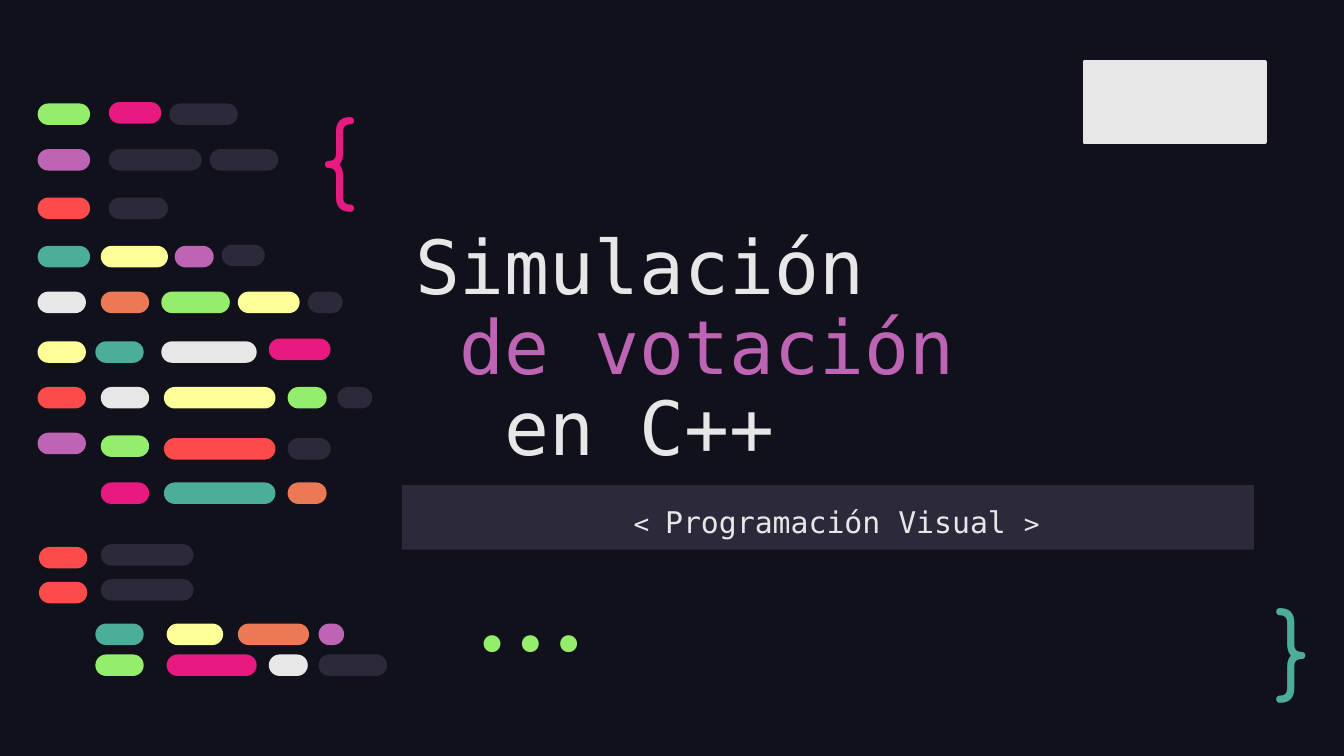
from dataclasses import dataclass
from typing import NamedTuple

from pptx import Presentation
from pptx.dml.color import RGBColor
from pptx.enum import shapes, text
from pptx.util import Inches, Pt


@dataclass(frozen=True)
class Theme:
    back: str = "10111A"
    slate: str = "2C293A"
    white: str = "E7E7E7"
    green: str = "94EE6B"
    pink: str = "E81A81"
    purple: str = "BD64B5"
    red: str = "FD4A4A"
    teal: str = "4CAE97"
    yellow: str = "FFFF99"
    orange: str = "EC7955"
    mono: str = "DejaVu Sans Mono"
    round: str = "Comfortaa"
    code: str = "Fira Code"
    title: int = 40
    symbol: int = 50
    subtitle: int = 16
    bracket: int = 14


class Box(NamedTuple):
    left: float
    top: float
    width: float
    height: float


class Pill(NamedTuple):
    left: float
    width: float
    color: str
    shift: float = 0  # offset below the top of its row


class Symbol(NamedTuple):
    text: str
    box: Box
    font: str
    color: str
    anchor: text.MSO_ANCHOR
    align: text.PP_ALIGN


T = Theme()
PILL_HEIGHT = 0.16
TITLE_STEP = 0.6 * T.title / 72  # one monospace character at title size

CODE_ROWS: dict[float, list[Pill]] = {
    0.77: [Pill(0.28, 0.39, T.green), Pill(0.81, 0.39, T.pink, -0.01),
           Pill(1.26, 0.51, T.slate)],
    1.11: [Pill(0.28, 0.39, T.purple), Pill(0.81, 0.69, T.slate),
           Pill(1.56, 0.51, T.slate)],
    1.47: [Pill(0.28, 0.39, T.red), Pill(0.81, 0.44, T.slate)],
    1.83: [Pill(0.28, 0.39, T.teal), Pill(0.75, 0.5, T.yellow),
           Pill(1.3, 0.29, T.purple), Pill(1.65, 0.32, T.slate, -0.01)],
    2.17: [Pill(0.28, 0.36, T.white), Pill(0.75, 0.36, T.orange),
           Pill(1.2, 0.51, T.green), Pill(1.77, 0.46, T.yellow),
           Pill(2.29, 0.26, T.slate)],
    2.54: [Pill(0.28, 0.36, T.yellow), Pill(0.71, 0.36, T.teal),
           Pill(1.2, 0.71, T.white), Pill(2, 0.46, T.pink, -0.02)],
    2.88: [Pill(0.28, 0.36, T.red), Pill(0.75, 0.36, T.white),
           Pill(1.22, 0.83, T.yellow), Pill(2.14, 0.29, T.green),
           Pill(2.51, 0.26, T.slate)],
    3.22: [Pill(0.28, 0.36, T.purple), Pill(0.75, 0.36, T.green, 0.02),
           Pill(1.22, 0.83, T.red, 0.04), Pill(2.14, 0.32, T.slate, 0.04)],
    3.59: [Pill(0.75, 0.36, T.pink), Pill(1.22, 0.83, T.teal),
           Pill(2.14, 0.29, T.orange)],
    4.07: [Pill(0.29, 0.36, T.red), Pill(0.75, 0.69, T.slate, -0.02)],
    4.33: [Pill(0.29, 0.36, T.red), Pill(0.75, 0.69, T.slate, -0.02)],
    4.64: [Pill(0.71, 0.36, T.teal), Pill(1.24, 0.42, T.yellow),
           Pill(1.77, 0.53, T.orange), Pill(2.37, 0.19, T.purple)],
    4.87: [Pill(0.71, 0.36, T.green), Pill(1.24, 0.67, T.pink),
           Pill(2, 0.29, T.white), Pill(2.37, 0.51, T.slate)],
}

SYMBOLS = [
    Symbol("{", Box(2.29, 0.62, 0.77, 0.95), T.round, T.pink,
           text.MSO_ANCHOR.TOP, text.PP_ALIGN.LEFT),
    Symbol("}", Box(9.39, 4.38, 0.57, 0.83), T.round, T.teal,
           text.MSO_ANCHOR.MIDDLE, text.PP_ALIGN.LEFT),
    Symbol("...", Box(3.11, 4.49, 1.58, 0.6), T.code, T.green,
           text.MSO_ANCHOR.BOTTOM, text.PP_ALIGN.RIGHT),
]


def rgb(color: str) -> RGBColor:
    return RGBColor.from_string(color)


def add_text_box(s, box: Box, anchor=text.MSO_ANCHOR.TOP):
    sp = s.shapes.add_textbox(*map(Inches, box))
    tf = sp.text_frame
    tf.word_wrap = True
    tf.vertical_anchor = anchor
    tf.margin_left = tf.margin_right = Inches(0.1)
    tf.margin_top = tf.margin_bottom = Inches(0.1)
    return sp


def style(p, font: str, color: str, size: int) -> None:
    p.font.name = font
    p.font.size = Pt(size)
    p.font.color.rgb = rgb(color)


def indent(p, inches: float) -> None:
    p._p.get_or_add_pPr().set("marL", str(Inches(inches)))


def add_block(parent, kind: shapes.MSO_SHAPE, box: Box, color: str):
    sp = parent.shapes.add_shape(kind, *map(Inches, box))
    sp.shadow.inherit = False
    sp.fill.solid()
    sp.fill.fore_color.rgb = rgb(color)
    sp.line.fill.background()
    return sp


def add_title(s) -> None:
    sp = add_text_box(s, Box(2.99, 1.38, 6.34, 2.23), text.MSO_ANCHOR.BOTTOM)
    tf = sp.text_frame
    lines = [("Simulación", T.white), ("de votación", T.purple), ("en C++", T.white)]
    for i, (line, color) in enumerate(lines):
        p = tf.add_paragraph() if i else tf.paragraphs[0]
        p.text = line
        p.line_spacing = 0.9
        indent(p, i * TITLE_STEP)
        style(p, T.mono, color, T.title)


def add_subtitle(s) -> None:
    sp = add_text_box(s, Box(2.99, 3.61, 6.34, 0.48))
    sp.fill.solid()
    sp.fill.fore_color.rgb = rgb(T.slate)
    p = sp.text_frame.paragraphs[0]
    p.alignment = text.PP_ALIGN.CENTER
    p.line_spacing = 1.15
    indent(p, 0.13)
    style(p, T.mono, T.white, T.subtitle)
    for words, size in [("< ", T.bracket), ("Programación Visual ", T.subtitle),
                        (">", T.bracket)]:
        r = p.add_run()
        r.text = words
        r.font.size = Pt(size)


def add_symbol(s, symbol: Symbol) -> None:
    sp = add_text_box(s, symbol.box, symbol.anchor)
    p = sp.text_frame.paragraphs[0]
    p.text = symbol.text
    p.alignment = symbol.align
    style(p, symbol.font, symbol.color, T.symbol)


def add_code_lines(s) -> None:
    group = s.shapes.add_group_shape()
    for top, pills in CODE_ROWS.items():
        for pill in pills:
            box = Box(pill.left, top + pill.shift, pill.width, PILL_HEIGHT)
            sp = add_block(group, shapes.MSO_SHAPE.ROUNDED_RECTANGLE, box, pill.color)
            sp.adjustments[0] = 0.5


def main() -> None:
    # Widescreen 16:9 page
    prs = Presentation()
    prs.slide_width, prs.slide_height = Inches(10), Inches(10 * 9 / 16)
    s = prs.slides.add_slide(prs.slide_layouts[6])
    s.background.fill.solid()
    s.background.fill.fore_color.rgb = rgb(T.back)

    # Heading
    add_title(s)
    add_subtitle(s)

    # Braces and dots
    for symbol in SYMBOLS:
        add_symbol(s, symbol)

    # Abstract lines of code
    add_code_lines(s)

    # Corner panel
    panel = add_block(s, shapes.MSO_SHAPE.RECTANGLE, Box(8.07, 0.46, 1.34, 0.6), T.white)
    panel.line.color.rgb = rgb(T.white)
    panel.line.width = Pt(2)

    prs.save("out.pptx")


if __name__ == "__main__":
    main()
